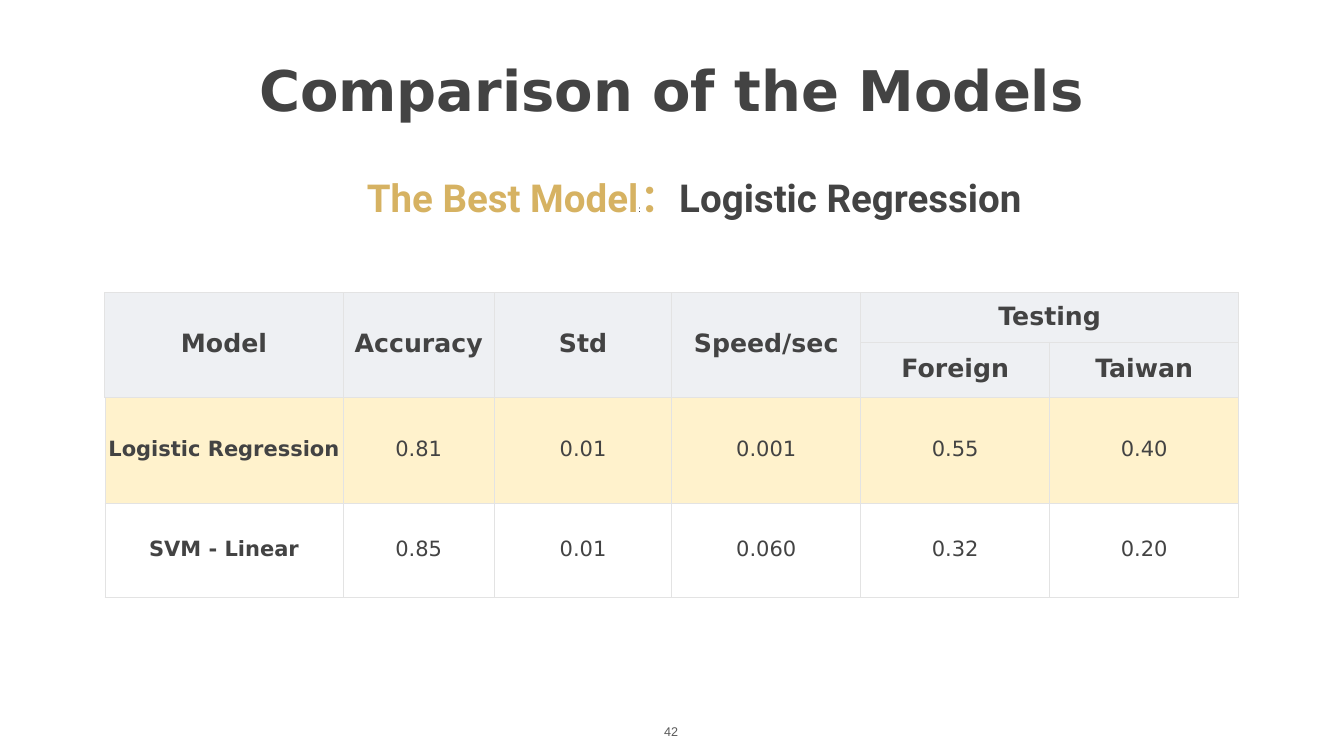
from dataclasses import dataclass
from typing import Any

from lxml import etree
from pptx import Presentation, util as u
from pptx.dml.color import RGBColor
from pptx.enum import text
from pptx.oxml import ns

COLORS = {
    "ink": "434343",
    "gold": "D6B262",
    "black": "000000",
    "gray": "595959",
    "header": "EEF0F3",
    "highlight": "FFF2CC",
    "border": "E3E3E3",
}
MARGIN = u.Inches(0.06)
COLUMNS = [4.73, 3, 3.52, 3.75, 3.75, 3.75]


@dataclass(frozen=True)
class Span:
    words: str
    size: float
    face: str = "DejaVu Sans"
    color: str = "ink"
    bold: bool = True


@dataclass(frozen=True)
class Row:
    height: float
    values: list[str]
    fill: str | None
    size: float
    bold_columns: int
    top_line: float
    line: float


ROWS = [
    Row(0.98, ["Model", "Accuracy", "Std", "Speed/sec", "Testing", ""], "header", 36, 6, 1.5, 1.5),
    Row(1.09, ["", "", "", "", "Foreign", "Taiwan"], "header", 36, 6, 1.5, 1.5),
    Row(2.1, ["Logistic Regression", "0.81", "0.01", "0.001", "0.55", "0.40"],
        "highlight", 30, 1, 1.5, 0.75),
    Row(1.87, ["SVM - Linear", "0.85", "0.01", "0.060", "0.32", "0.20"],
        None, 30, 1, 0.75, 0.75),
]


def apply_format(target: Any, values: dict[str, Any]) -> None:
    for name, value in values.items():
        setattr(target, name, value)


def write_spans(para: Any, spans: list[Span]) -> None:
    para.alignment = text.PP_ALIGN.CENTER
    for span in spans:
        run = para.add_run()
        run.text = span.words
        apply_format(run.font, {"size": u.Pt(span.size), "name": span.face, "bold": span.bold})
        run.font.color.rgb = RGBColor.from_string(COLORS[span.color])


def fill_box(box: Any, place: tuple[float, ...], spans: list[Span],
             anchor: text.MSO_ANCHOR = text.MSO_ANCHOR.MIDDLE, wrap: bool = True) -> None:
    apply_format(box, dict(zip(("left", "top", "width", "height"), map(u.Inches, place))))
    apply_format(box.text_frame, {
        "margin_left": MARGIN, "margin_right": MARGIN,
        "margin_top": MARGIN, "margin_bottom": MARGIN,
        "vertical_anchor": anchor, "word_wrap": wrap,
        "auto_size": text.MSO_AUTO_SIZE.NONE,
    })
    write_spans(box.text_frame.paragraphs[0], spans)


def set_borders(cell: Any, row: Row) -> None:
    properties = cell._tc.get_or_add_tcPr()
    for index, side in enumerate(("lnL", "lnR", "lnT", "lnB")):
        width = row.top_line if side == "lnT" else row.line
        line = etree.Element(ns.qn(f"a:{side}"), w=str(u.Pt(width)))
        solid = etree.SubElement(line, ns.qn("a:solidFill"))
        etree.SubElement(solid, ns.qn("a:srgbClr"), val=COLORS["border"])
        properties.insert(index, line)


def format_cell(cell: Any, row: Row, column: int) -> None:
    apply_format(cell, {
        "margin_left": MARGIN, "margin_right": MARGIN,
        "margin_top": MARGIN, "margin_bottom": MARGIN,
        "vertical_anchor": text.MSO_ANCHOR.MIDDLE,
    })
    if row.fill:
        cell.fill.solid()
        cell.fill.fore_color.rgb = RGBColor.from_string(COLORS[row.fill])
    else:
        cell.fill.background()
    set_borders(cell, row)
    if row.values[column]:
        para = cell.text_frame.paragraphs[0]
        para.line_spacing = 0.9
        write_spans(para, [Span(row.values[column], row.size, bold=column < row.bold_columns)])


def add_model_table(page: Any) -> None:
    frame = page.shapes.add_table(
        len(ROWS), len(COLUMNS), u.Inches(2.08), u.Inches(5.81),
        u.Inches(sum(COLUMNS)), u.Inches(sum(row.height for row in ROWS)))
    table = frame.table
    apply_format(table, {"first_row": False, "horz_banding": False})
    for column, width in zip(table.columns, COLUMNS):
        column.width = u.Inches(width)
    for index, row in enumerate(ROWS):
        table.rows[index].height = u.Inches(row.height)
        for column in range(len(COLUMNS)):
            format_cell(table.cell(index, column), row, column)
    for column in range(4):
        table.cell(0, column).merge(table.cell(1, column))
    table.cell(0, 4).merge(table.cell(0, 5))


def main() -> None:
    deck = Presentation()
    apply_format(deck, {"slide_width": u.Inches(26.67), "slide_height": u.Inches(15)})
    page = deck.slides.add_slide(deck.slide_layouts[5])
    fill_box(page.shapes.title, (2.08, 1.04, 22.5, 1.46), [Span("Comparison of the Models", 80)])
    add_model_table(page)
    fill_box(page.shapes.add_textbox(0, 0, 0, 0), (6.72, 3.39, 14.11, 1.04), [
        Span("The Best Model", 55, "Roboto", "gold"),
        Span(":", 12, "Arial", "black", False),
        Span("：", 55, "Roboto", "gold"),
        Span("Logistic Regression", 55, "Roboto"),
    ])
    fill_box(page.shapes.add_textbox(0, 0, 0, 0), (13.12, 14.31, 0.4, 0.42),
             [Span("42", 18, "Arial", "gray", False)], text.MSO_ANCHOR.BOTTOM, wrap=False)
    deck.save("out.pptx")


if __name__ == "__main__":
    main()
